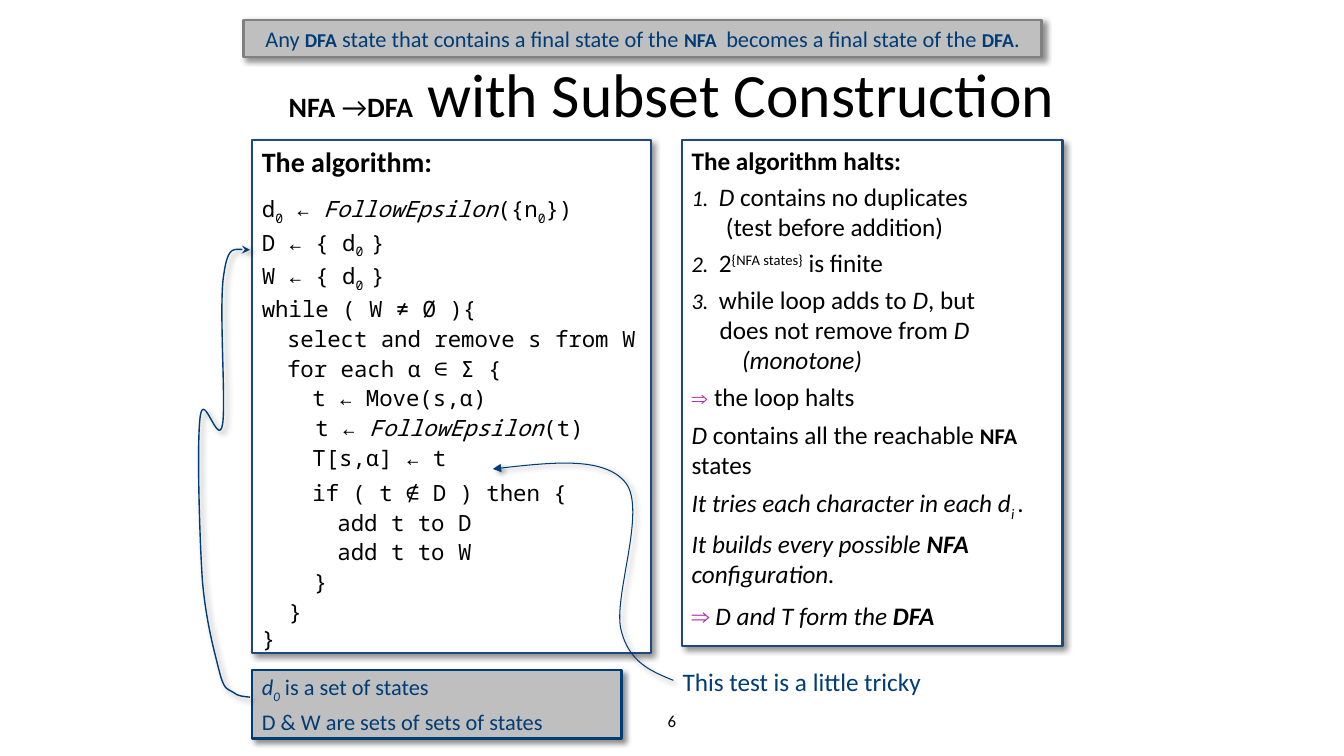
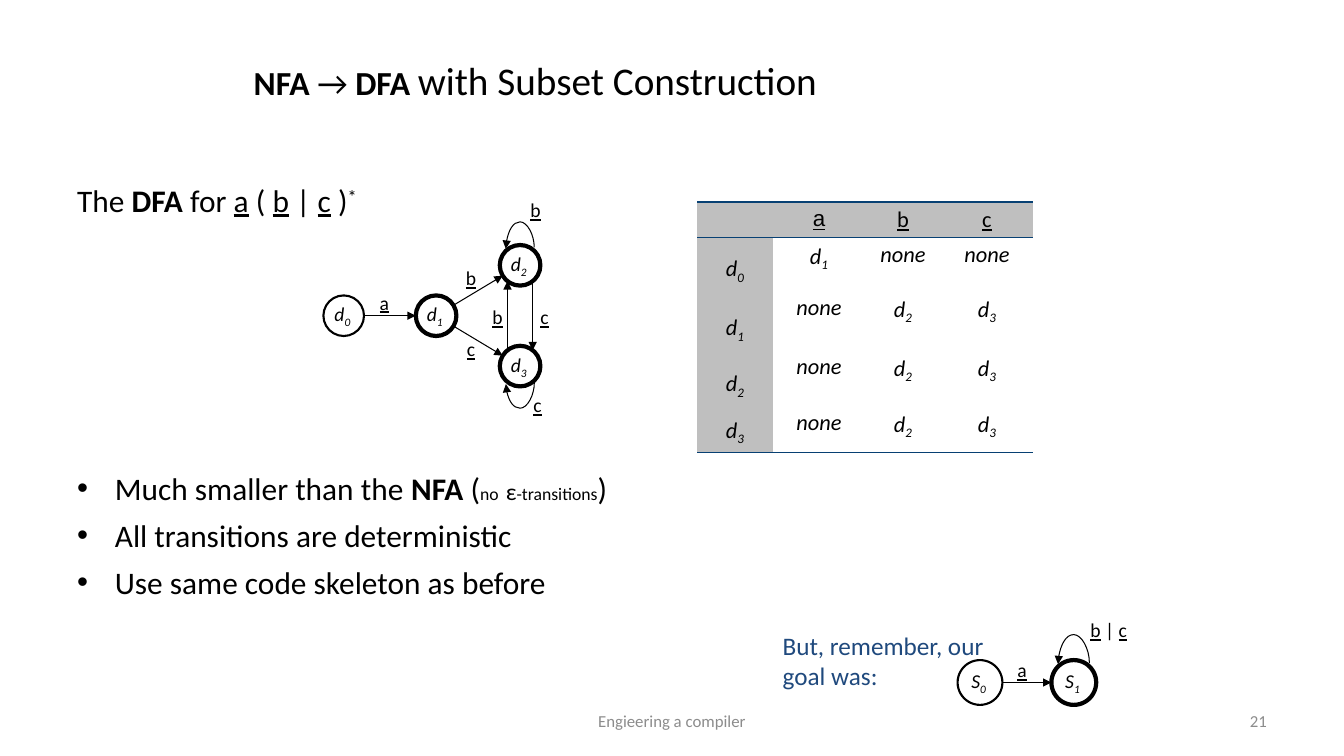
from dataclasses import dataclass
from math import hypot, sqrt

from lxml.etree import SubElement
from pptx import Presentation
from pptx.dml.color import RGBColor
from pptx.enum.shapes import MSO_CONNECTOR, MSO_SHAPE
from pptx.enum.text import MSO_ANCHOR, MSO_AUTO_SIZE, PP_ALIGN
from pptx.oxml.ns import qn
from pptx.util import Pt


@dataclass(frozen=True)
class Theme:
    font: str = "Calibri"
    code_font: str = "Noto Sans Mono"
    symbol_font: str = "Arial"
    ink: str = "000000"
    paper: str = "FFFFFF"
    panel: str = "BFBFBF"
    navy: str = "003C75"
    blue: str = "1F497D"
    rule: str = "074073"
    border: str = "808080"
    muted: str = "8C8C8C"
    accent: str = "B025A6"
    title: float = 44
    subtitle: float = 28
    tag: float = 24
    body: float = 22.4
    heading: float = 20
    text: float = 18
    epsilon: float = 16.8
    note: float = 16
    label: float = 14
    tiny: float = 12.6
    footer: float = 12


THEME = Theme()
LEFT, CENTER, RIGHT = PP_ALIGN.LEFT, PP_ALIGN.CENTER, PP_ALIGN.RIGHT
TOP, MIDDLE, BOTTOM = MSO_ANCHOR.TOP, MSO_ANCHOR.MIDDLE, MSO_ANCHOR.BOTTOM

# Named span styles
STYLES = {
    "bold": {"bold": True},
    "italic": {"italic": True},
    "underline": {"underline": True},
    "sub": {"baseline": -25000},
    "sup": {"baseline": 30000},
    "title": {"size": THEME.title},
    "heading": {"size": THEME.heading, "bold": True, "name": THEME.font},
    "note": {"size": THEME.note},
    "label": {"size": THEME.label},
    "tag": {"size": THEME.tag},
    "epsilon": {"size": THEME.epsilon},
    "tiny": {"size": THEME.tiny},
    "symbol": {"name": THEME.symbol_font},
    "accent": {"name": THEME.symbol_font, "colour": THEME.accent},
}


def line(*spans, **layout):
    """One paragraph: spans are plain text or (text, style names)."""
    return spans, layout


def code(level, *spans, before=2):
    return line(*spans, margin=18 * level, before=before)


# Content of the algorithm slide
ALGORITHM_TITLE = [line(("NFA", "bold"), " →", ("DFA", "bold"),
                        (" with Subset Construction", "title"))]
BANNER = [line("Any ", ("DFA", "bold label"),
               " state that contains a final state of the ", ("NFA", "bold label"),
               " ", (" ", "label"), "becomes a final state of the ",
               ("DFA", "bold label"), ".")]
ALGORITHM = [
    line(("The algorithm:", "heading"), after=10),
    code(0, "d", ("0", "sub"), " ← ", ("FollowEpsilon", "italic"),
         "({n", ("0", "sub"), "})"),
    code(0, "D ← { d", ("0 ", "sub"), "}"),
    code(0, "W ← { d", ("0 ", "sub"), "}"),
    code(0, "while ( W ≠ Ø ){"),
    code(1, "select and remove s from W"),
    code(1, "for each α ∈ Σ {"),
    code(2, "t ← Move(s,α)"),
    code(0, "    t ← ", ("FollowEpsilon", "italic"), "(t)"),
    code(2, "T[s,α] ← t"),
    code(2, "if ( t ∉ D ) then {", before=6),
    code(3, "add t to D"),
    code(3, "add t to W"),
    code(1, "  }"),
    code(0, "  }"),
    code(0, "}", before=0),
]
NUMBERED = {"margin": 19.5, "indent": -19.5, "before": 4.3}
HALTING = [
    line(("The algorithm halts:", "bold")),
    line(("1.\t", "note italic"), ("D", "italic"), " contains no duplicates", **NUMBERED),
    line("(test before addition)", margin=24.5),
    line(("2.\t", "note italic"), "2", ("{NFA states}", "sup"), " is finite", **NUMBERED),
    line(("3.\t", "note italic"), "while loop adds to ", ("D", "italic"), ", but", **NUMBERED),
    line("does not remove from ", ("D (monotone)", "italic"), margin=36, indent=-16),
    line(("⇒ ", "accent note italic"), "the loop halts", before=5),
    line(("D", "italic"), " contains all the reachable ", ("NFA", "note bold"),
         " states", before=5.4),
    line(("It tries each character in each d", "italic"), ("i ", "italic sub"),
         (".", "italic"), before=5.4),
    line(("It builds every possible ", "italic"), ("NFA", "bold italic"),
         (" configuration.", "italic"), before=4.5),
    line(("⇒", "accent italic"), (" D and T form the ", "italic"),
         ("DFA", "bold italic"), before=8),
]
SETS = [
    line(("d", "italic"), ("0", "italic sub"), " is a set of states"),
    line("D & W are sets of sets of states", before=3),
]
TEST_NOTE = [line("This test is a little tricky")]
TEST_ARROW = [(352, 335), (391.5, 330.5), (432, 326), (447, 345), (462, 364.5),
              (438, 426), (443.5, 449.5), (449, 473), (465, 479.5), (481, 486)]
SETS_ARROW = [(178.5, 498), (174, 497.5), (170, 497.5), (166.5, 494.5), (163, 492),
              (160.5, 494), (157, 481), (153.5, 467), (147, 444), (144.5, 414),
              (142.5, 383), (140.5, 316), (143, 297.5), (145.5, 278.5), (156, 320.5),
              (159, 303), (161.5, 286.5), (156, 216), (160, 195), (163, 174),
              (178.5, 178.5), (178.5, 178.5)]

# Content of the result slide
RESULT_TITLE = [line(("NFA", "bold tag"), (" → ", "tag"), ("DFA ", "bold tag"),
                     "with Subset Construction")]
BULLET = {"margin": 27, "indent": -27, "bullet": "•"}
REMARKS = [
    line("The ", ("DFA", "bold"), " for ", ("a", "underline"), " ( ", ("b", "underline"),
         " | ", ("c", "underline"), " )", ("*", "sup")),
    line("Much smaller than the ", ("NFA", "bold"), " (", ("no", "tiny"), " ",
         ("ε", "epsilon"), ("-transitions", "tiny"), ")", before=178.7, **BULLET),
    line("All transitions are deterministic", before=6.7, **BULLET),
    line("Use same code skeleton as before", before=6.7, **BULLET),
]
GOAL = [line("But, remember, our goal was:")]

# Automata: states are name -> (centre x, centre y, final);
# edges are (from, to, sideways shift); loops are (state, direction)
DFA = {
    "radius": 14.5,
    "states": {"d3": (371.5, 261.5, True), "d2": (371.5, 189.5, True),
               "d0": (245.5, 225.5, False), "d1": (311.5, 225.5, True)},
    "edges": [("d0", "d1", 0), ("d1", "d2", 0), ("d1", "d3", 0),
              ("d2", "d3", 9), ("d3", "d2", 9)],
    "loops": [("d2", -1), ("d3", 1)],
    "labels": [("a", 274.5, 216), ("b", 336.5, 198.5), ("c", 336.5, 249),
               ("b", 355.5, 226.5), ("c", 389, 226.5), ("b", 382.5, 150),
               ("c", 384, 289)],
}
MINIMAL_DFA = {
    "radius": 16,
    "states": {"S0": (700, 487.5, False), "S1": (767, 487.5, True)},
    "edges": [("S0", "S1", 0)],
    "loops": [("S1", -1)],
    "labels": [("a", 730, 478.5), ("b | c", 792, 450)],
}
TRANSITIONS = [
    ["", "a", "b", "c"],
    ["d0", "d1", "none", "none"],
    ["d1", "none", "d2", "d3"],
    ["d2", "none", "d2", "d3"],
    ["d3", "none", "d2", "d3"],
]
COLUMN_WIDTHS = [54, 66, 54, 66]
ROW_HEIGHTS = [25.5, 38, 42, 40, 33.5]


# Text
def write(frame, lines, size=THEME.text, name=THEME.font, colour=THEME.ink,
          align=LEFT, spacing=None):
    for index, (spans, layout) in enumerate(lines):
        para = frame.paragraphs[0] if index == 0 else frame.add_paragraph()
        properties = para._p.get_or_add_pPr()
        properties.set("marL", str(Pt(layout.get("margin", 0))))
        properties.set("indent", str(Pt(layout.get("indent", 0))))
        if "bullet" in layout:
            SubElement(properties, qn("a:buFont"), typeface=THEME.symbol_font)
            SubElement(properties, qn("a:buChar"), char=layout["bullet"])
        values = {"alignment": align, "line_spacing": spacing,
                  "space_before": Pt(layout.get("before", 0)),
                  "space_after": Pt(layout.get("after", 0))}
        for key, value in values.items():
            setattr(para, key, value)
        for item in spans:
            text, styles = (item, "") if isinstance(item, str) else item
            look = {"size": size, "name": name, "colour": colour, "bold": False}
            for style in styles.split():
                look.update(STYLES[style])
            span = para.add_run()
            span.text = text
            span.font.color.rgb = RGBColor.from_string(look.pop("colour"))
            baseline = look.pop("baseline", None)
            look["size"] = Pt(look["size"])
            for key, value in look.items():
                setattr(span.font, key, value)
            if baseline:
                span.font._element.set("baseline", str(baseline))


def set_frame(frame, anchor=TOP, wrap=True, inset=True):
    values = {"auto_size": MSO_AUTO_SIZE.NONE, "word_wrap": wrap, "vertical_anchor": anchor}
    if not inset:
        values.update({f"margin_{side}": 0 for side in ("left", "top", "right", "bottom")})
    for key, value in values.items():
        setattr(frame, key, value)


def add_text(page, place, lines, anchor=TOP, inset=True, **look):
    box = page.shapes.add_textbox(*map(Pt, place))
    set_frame(box.text_frame, anchor, inset=inset)
    write(box.text_frame, lines, **look)


def add_title(page, place, lines, **look):
    title = page.shapes.title
    title.left, title.top, title.width, title.height = map(Pt, place)
    set_frame(title.text_frame, MIDDLE)
    write(title.text_frame, lines, **look)


# Shapes and lines
def set_line(shape, colour, width, **ends):
    shape.line.color.rgb = RGBColor.from_string(colour)
    shape.line.width = Pt(width)
    outline = shape._element.spPr.find(qn("a:ln"))
    for end, kind in ends.items():
        SubElement(outline, qn(f"a:{end}End"), type=kind)


def set_shadow(shape, visible=True):
    effects = SubElement(shape._element.spPr, qn("a:effectLst"))
    if visible:
        shadow = SubElement(effects, qn("a:outerShdw"), blurRad=str(Pt(4)),
                            dist=str(Pt(3)), dir="2700000", algn="ctr", rotWithShape="0")
        colour = SubElement(shadow, qn("a:srgbClr"), val=THEME.ink)
        SubElement(colour, qn("a:alpha"), val="43000")


def add_panel(page, place, lines, fill, border, anchor=TOP, **look):
    panel = page.shapes.add_shape(MSO_SHAPE.RECTANGLE, *map(Pt, place))
    panel.fill.solid()
    panel.fill.fore_color.rgb = RGBColor.from_string(fill)
    set_line(panel, border, 1.5)
    set_shadow(panel)
    set_frame(panel.text_frame, anchor)
    write(panel.text_frame, lines, **look)


def add_curve(page, points, width, **ends):
    """Draw a chain of cubic curves: a start, then three points for each."""
    builder = page.shapes.build_freeform(*map(Pt, points[0]))
    builder.add_line_segments([tuple(map(Pt, point)) for point in points[1:]], close=False)
    curve = builder.convert_to_shape()
    segments = list(curve._element.iter(qn("a:lnTo")))
    outline = segments[0].getparent()
    for first in range(0, len(segments), 3):
        cubic = SubElement(outline, qn("a:cubicBezTo"))
        for segment in segments[first:first + 3]:
            cubic.append(segment[0])
            outline.remove(segment)
    curve.fill.background()
    set_line(curve, THEME.navy, width, **ends)
    set_shadow(curve)


# Automata
def state_name(name, gap=""):
    return line((name[0], "italic"), (name[1] + gap, "italic sub"))


def add_arrow(page, kind, *ends):
    arrow = page.shapes.add_connector(kind, *map(Pt, ends))
    set_line(arrow, THEME.ink, 0.75, tail="triangle")
    set_shadow(arrow, False)
    return arrow


def add_loop(page, x, y, radius, direction):
    """Turn a thin curved connector so that it bulges up (-1) or down (1)."""
    half, thin = 0.7 * radius, 1
    base, reach = 0.85 * radius, 2.12 * radius
    middle = y + direction * base
    loop = add_arrow(page, MSO_CONNECTOR.CURVE, x - thin / 2, middle - half,
                     x + thin / 2, middle + half)
    frame = loop._element.spPr.find(qn("a:xfrm"))
    turn = {"rot": "5400000"} if direction > 0 else {
        "rot": "16200000", "flipH": "1", "flipV": "1"}
    for key, value in turn.items():
        frame.set(key, value)
    bulge = round(direction * (reach - base) / thin * 100000)
    adjustments = next(loop._element.iter(qn("a:avLst")))
    SubElement(adjustments, qn("a:gd"), name="adj1", fmla=f"val {bulge}")


def add_automaton(page, radius, states, edges, loops, labels):
    for name, (x, y, final) in states.items():
        place = (x - radius, y - radius, 2 * radius, 2 * radius)
        circle = page.shapes.add_shape(MSO_SHAPE.OVAL, *map(Pt, place))
        circle.fill.background()
        set_line(circle, THEME.ink, 3 if final else 1.5)
        set_shadow(circle, False)
        set_frame(circle.text_frame, MIDDLE, wrap=False)
        write(circle.text_frame, [state_name(name, " ")], size=THEME.label, align=CENTER)
    for source, target, shift in edges:
        (x1, y1, _), (x2, y2, _) = states[source], states[target]
        length = hypot(x2 - x1, y2 - y1)
        dx, dy = (x2 - x1) / length, (y2 - y1) / length
        trim = sqrt(radius ** 2 - shift ** 2)
        add_arrow(page, MSO_CONNECTOR.STRAIGHT,
                  x1 + dx * trim + dy * shift, y1 + dy * trim - dx * shift,
                  x2 - dx * trim + dy * shift, y2 - dy * trim - dx * shift)
    for name, direction in loops:
        add_loop(page, *states[name][:2], radius, direction)
    for text, x, y in labels:
        spans = [(mark, "underline") if mark.isalpha() else mark for mark in text]
        width = 19 if len(text) == 1 else 48
        add_text(page, (x - width / 2, y - 12, width, 24), [line(*spans)], MIDDLE,
                 inset=False, size=THEME.label, align=CENTER)


# Table
def set_borders(cell, widths):
    properties = cell._tc.get_or_add_tcPr()
    for index, side in enumerate("LRTB"):
        edge = SubElement(properties, qn(f"a:ln{side}"), w=str(Pt(widths.get(side, 0))))
        if side in widths:
            SubElement(SubElement(edge, qn("a:solidFill")), qn("a:srgbClr"), val=THEME.rule)
        else:
            SubElement(edge, qn("a:noFill"))
        properties.insert(index, edge)


def add_transitions(page, left, top):
    frame = page.shapes.add_table(
        len(TRANSITIONS), len(COLUMN_WIDTHS), Pt(left), Pt(top),
        Pt(sum(COLUMN_WIDTHS)), Pt(sum(ROW_HEIGHTS)))
    table = frame.table
    table.first_row = table.horz_banding = False
    for column, width in zip(table.columns, COLUMN_WIDTHS):
        column.width = Pt(width)
    borders = {0: {"T": 1.5, "B": 1}, 1: {"T": 1}, len(TRANSITIONS) - 1: {"B": 1.5}}
    for r, names in enumerate(TRANSITIONS):
        table.rows[r].height = Pt(ROW_HEIGHTS[r])
        for c, name in enumerate(names):
            cell = table.cell(r, c)
            shaded = r == 0 or c == 0
            cell.fill.solid()
            cell.fill.fore_color.rgb = RGBColor.from_string(
                THEME.panel if shaded else THEME.paper)
            cell.vertical_anchor = BOTTOM if c == 0 else TOP
            set_borders(cell, borders.get(r, {}))
            if r == 0:
                cell.margin_bottom = Pt(2)
                content = line((name, "underline symbol" if name == "a" else "underline"))
            else:
                content = line((name, "italic")) if name == "none" else state_name(name)
            write(cell.text_frame, [content], size=THEME.note, align=CENTER,
                  spacing=None if shaded else 0.9)


# Slides
def add_footer(page, text, left=328, width=304, align=CENTER, colour=THEME.muted):
    add_text(page, (left, 500.5, width, 28.5), [line(text)], MIDDLE,
             size=THEME.footer, align=align, colour=colour)


def build_algorithm(page):
    add_footer(page, "6", colour=THEME.ink)
    add_title(page, (48, 21, 864, 90), ALGORITHM_TITLE, size=THEME.heading, align=CENTER)
    add_panel(page, (180, 100, 285, 366.5), ALGORITHM, THEME.paper, THEME.blue,
              size=THEME.note, name=THEME.code_font)
    add_panel(page, (487, 100, 272, 361.5), HALTING, THEME.paper, THEME.blue)
    add_text(page, (480.5, 472.5, 240.5, 29), TEST_NOTE, colour=THEME.navy)
    add_curve(page, TEST_ARROW, 0.75, head="triangle")
    add_panel(page, (180, 478.5, 264, 49), SETS, THEME.panel, THEME.navy, MIDDLE,
              size=THEME.note, colour=THEME.navy)
    add_curve(page, SETS_ARROW, 1, tail="stealth")
    add_panel(page, (174, 14, 570, 26.5), BANNER, THEME.panel, THEME.border, MIDDLE,
              size=THEME.note, colour=THEME.navy, align=CENTER)


def build_result(page):
    add_title(page, (174, 36, 612, 42), RESULT_TITLE, size=THEME.subtitle)
    add_text(page, (48, 126, 864, 356.5), REMARKS, size=THEME.body)
    add_automaton(page, **DFA)
    add_automaton(page, **MINIMAL_DFA)
    add_text(page, (552, 446.5, 163, 50), GOAL, colour=THEME.blue)
    add_transitions(page, 498, 144)
    add_footer(page, "Engieering a compiler")
    add_footer(page, "21", left=688, width=224, align=RIGHT)


def main():
    deck = Presentation()
    deck.slide_width, deck.slide_height = Pt(960), Pt(540)
    title_only = deck.slide_layouts[5]
    for build in (build_algorithm, build_result):
        build(deck.slides.add_slide(title_only))
    deck.save("out.pptx")


if __name__ == "__main__":
    main()
